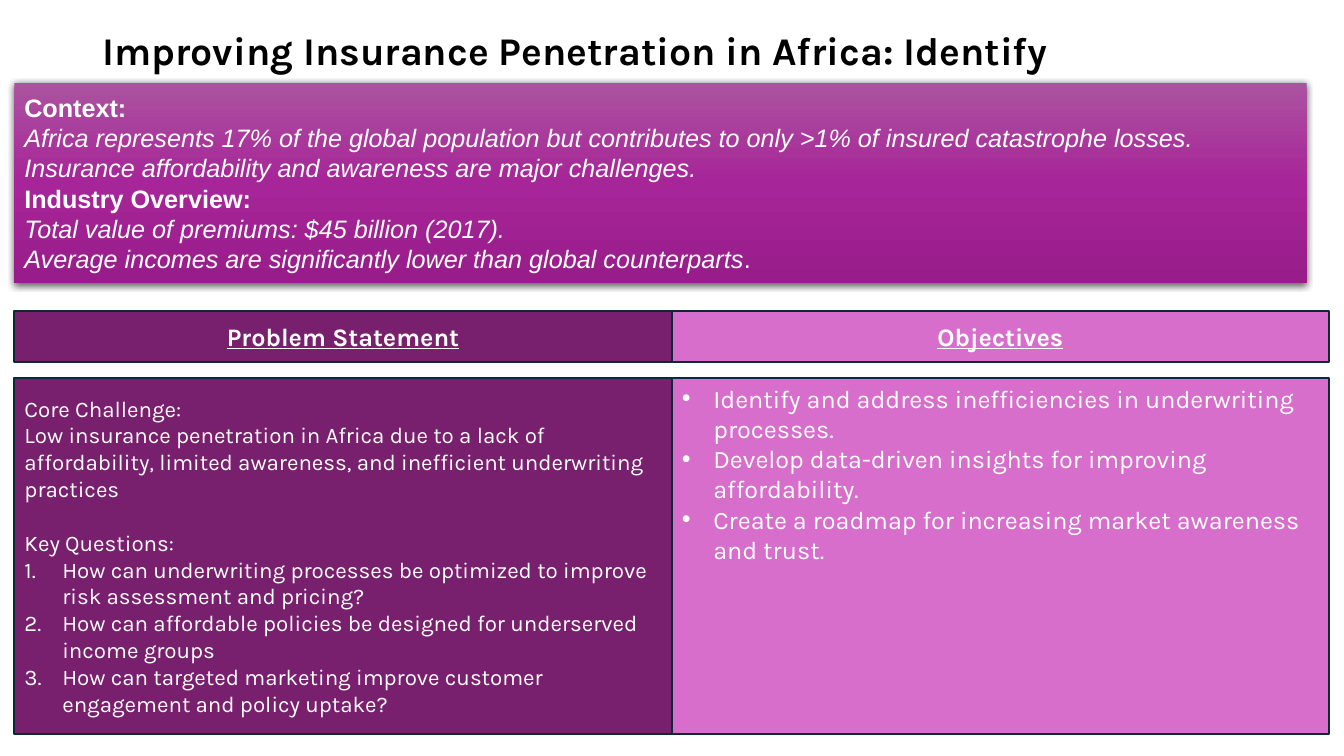
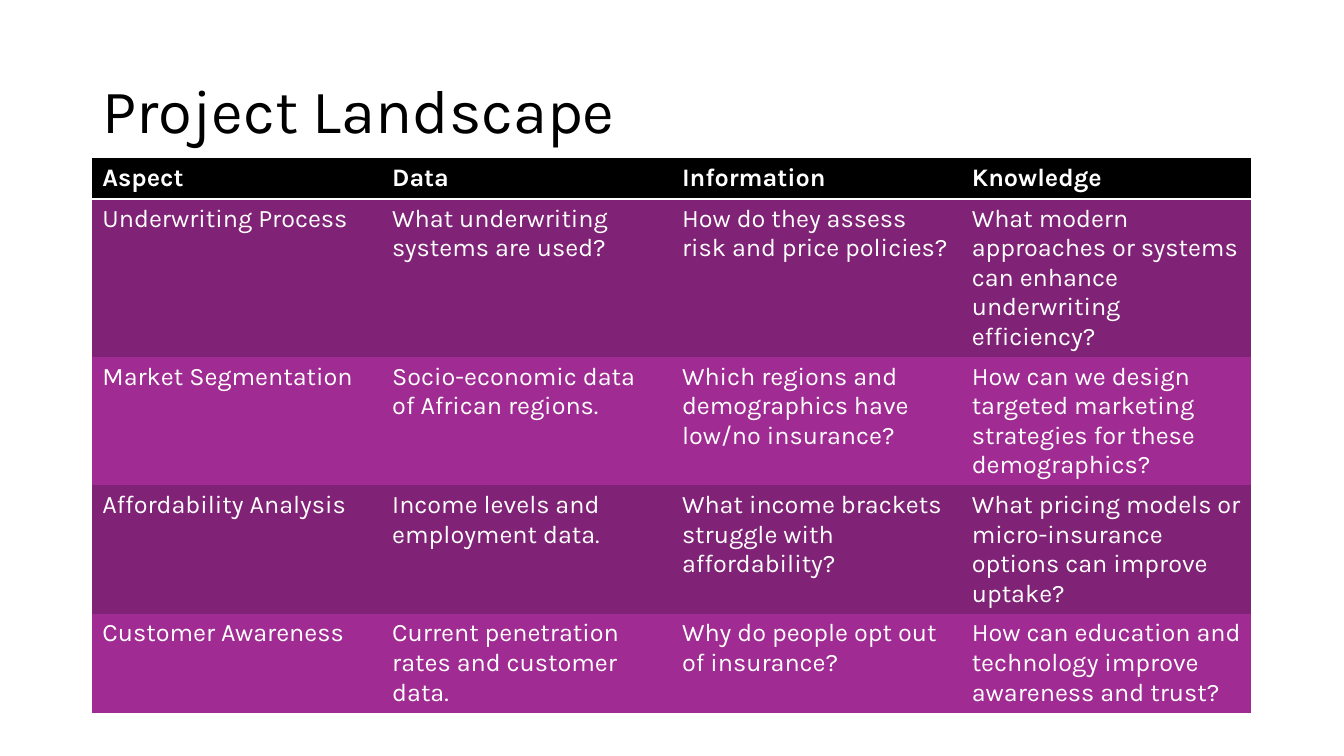
"""Builds a two-slide deck on insurance penetration in Africa."""
from copy import deepcopy
from dataclasses import dataclass

from pptx import Presentation
from pptx.dml.color import RGBColor
from pptx.enum.shapes import MSO_SHAPE
from pptx.enum.text import MSO_ANCHOR, MSO_AUTO_SIZE, PP_ALIGN
from pptx.oxml import parse_xml
from pptx.oxml.ns import nsdecls, qn
from pptx.util import Pt


@dataclass(frozen=True)
class Theme:
    """Colours, fonts and type sizes of the deck."""
    black: str = "000000"
    white: str = "FFFFFF"
    outline: str = "092A39"
    plum: str = "78206E"
    orchid: str = "D86ECC"
    bands: tuple = ("802276", "A02B93")
    gradient: tuple = ((0, "AC53A0"), (0.5, "A62598"), (1, "991C8B"))
    font: str = "Karla"
    context_font: str = "Arial"
    title: int = 44
    small_title: int = 28
    text: int = 18
    small_text: int = 16


THEME = Theme()
TWO_CONTENT, TITLE_ONLY = 3, 5

IDENTIFY_TITLE = "Improving Insurance Penetration in Africa: Identify"
CONTEXT = [
    [("Context:", {"bold": True})],
    [("Africa represents 17% of the global population but contributes to only "
      ">1% of insured catastrophe losses.", {"italic": True})],
    [("Insurance affordability and awareness are major challenges.", {"italic": True})],
    [("Industry Overview:", {"bold": True})],
    [("Total value of premiums: $45 billion (2017).", {"italic": True})],
    [("Average incomes are significantly lower than global counterparts",
      {"italic": True}), (".", {})],
]
PROBLEM = [
    ("plain", 0, "Core Challenge:"),
    ("plain", 0, "Low insurance penetration in Africa due to a lack of affordability, "
                 "limited awareness, and inefficient underwriting practices"),
    ("plain", 19, "Key Questions:"),
    ("number", 0, "How can underwriting processes be optimized to improve risk "
                  "assessment and pricing?"),
    ("number", 0, "How can affordable policies be designed for underserved income groups"),
    ("number", 0, "How can targeted marketing improve customer engagement and policy uptake?"),
]
OBJECTIVES = [
    ("dot", 0, "Identify and address inefficiencies in underwriting processes."),
    ("dot", 0, "Develop data-driven insights for improving affordability."),
    ("dot", 0, "Create a roadmap for increasing market awareness and trust."),
]
COLUMNS = [
    ("Problem Statement", PROBLEM, THEME.plum, THEME.small_text, MSO_ANCHOR.MIDDLE),
    ("Objectives", OBJECTIVES, THEME.orchid, THEME.text, MSO_ANCHOR.TOP),
]

LANDSCAPE_TITLE = "Project Landscape"
LANDSCAPE = [
    ("Aspect", "Data", "Information", "Knowledge"),
    ("Underwriting Process", "What underwriting systems are used?",
     "How do they assess risk and price policies?",
     "What modern approaches or systems can enhance underwriting efficiency?"),
    ("Market Segmentation", "Socio-economic data of African regions.",
     "Which regions and demographics have low/no insurance?",
     "How can we design targeted marketing strategies for these demographics?"),
    ("Affordability Analysis", "Income levels and employment data.",
     "What income brackets struggle with affordability?",
     "What pricing models or micro-insurance options can improve uptake?"),
    ("Customer Awareness", "Current penetration rates and customer data.",
     "Why do people opt out of insurance?",
     "How can education and technology improve awareness and trust?"),
]

MARKERS = {
    "plain": (0, ["<a:buNone {}/>"]),
    "number": (27, ['<a:buFont {} typeface="+mj-lt"/>',
                    '<a:buAutoNum {} type="arabicPeriod"/>']),
    "dot": (22.5, ['<a:buFont {} typeface="Arial"/>', '<a:buChar {} char="•"/>']),
}
NO_GRID_STYLE = "{2D5ABB26-0587-4C30-8999-92F81FD0307C}"

EDGE = 10.3
COLUMN_WIDTH = 469.5
CONTEXT_BOX = (EDGE, 59, 923, 143.5)
HEADING_TOP, HEADING_HEIGHT = 222, 36.5
BODY_TOP, BODY_HEIGHT = 270, 254
MARGIN, CONTENT_WIDTH = 66, 828
TABLE_TOP, ROW_HEIGHT = 113, 29.2


def color(value):
    """Turns a hex string into a colour."""
    return RGBColor.from_string(value)


def markup(template):
    """Parses one drawing element."""
    return parse_xml(template.format(nsdecls("a")))


def place(shape, left, top, width, height):
    """Moves and sizes a shape, in points."""
    for name, value in dict(left=left, top=top, width=width, height=height).items():
        setattr(shape, name, Pt(value))


def add_run(para, text, size=THEME.text, font=THEME.font, ink=THEME.white, **formats):
    """Adds formatted text to a paragraph."""
    span = para.add_run()
    span.text = text
    for name, value in {"size": Pt(size), "name": font, "bold": False, **formats}.items():
        setattr(span.font, name, value)
    span.font.color.rgb = color(ink)


def set_frame(frame, anchor):
    """Sets wrapping, fit and anchor of a text frame."""
    formats = {"word_wrap": True, "auto_size": MSO_AUTO_SIZE.NONE, "vertical_anchor": anchor}
    for name, value in formats.items():
        setattr(frame, name, value)


def paragraphs(frame, count):
    """Yields the first paragraph and as many new ones as needed."""
    yield frame.paragraphs[0]
    for _ in range(count - 1):
        yield frame.add_paragraph()


def set_title(page, text, size, top, height, bold=False):
    """Fills and moves the title placeholder."""
    title = page.shapes.title
    place(title, MARGIN, top, CONTENT_WIDTH, height)
    set_frame(title.text_frame, MSO_ANCHOR.MIDDLE)
    para = title.text_frame.paragraphs[0]
    para.alignment = PP_ALIGN.LEFT
    para.line_spacing = 0.9
    add_run(para, text, size, ink=THEME.black, bold=bold)


def paint(shape, fill):
    """Gives a panel its flat fill and dark outline."""
    shape.fill.solid()
    shape.fill.fore_color.rgb = color(fill)
    shape.line.color.rgb = color(THEME.outline)
    shape.line.width = Pt(1.5)


def add_box(page, *area):
    """Adds a plain rectangle without shadow."""
    box = page.shapes.add_shape(MSO_SHAPE.RECTANGLE, *map(Pt, area))
    box.shadow.inherit = False
    set_frame(box.text_frame, MSO_ANCHOR.MIDDLE)
    return box


def add_context(page):
    """Adds the gradient panel with the context."""
    box = add_box(page, *CONTEXT_BOX)
    box.line.fill.background()
    box.fill.gradient()
    properties = box.element.spPr
    stops = properties.find(".//" + qn("a:gsLst"))
    stops.append(deepcopy(stops[-1]))
    for stop, (position, value) in zip(box.fill.gradient_stops, THEME.gradient):
        stop.position = position
        stop.color.rgb = color(value)
    box.fill.gradient_angle = 270
    properties.find(qn("a:effectLst")).append(markup(
        '<a:outerShdw {} blurRad="57150" dist="19050" dir="5400000" algn="ctr" '
        'rotWithShape="0"><a:srgbClr val="000000"><a:alpha val="63000"/></a:srgbClr>'
        '</a:outerShdw>'))
    for para, spans in zip(paragraphs(box.text_frame, len(CONTEXT)), CONTEXT):
        para.alignment = PP_ALIGN.LEFT
        for text, formats in spans:
            add_run(para, text, font=THEME.context_font, **formats)


def fill_list(body, items, size):
    """Writes items with their markers into a body placeholder."""
    for para, (kind, gap, text) in zip(paragraphs(body.text_frame, len(items)), items):
        indent, marks = MARKERS[kind]
        para.alignment = PP_ALIGN.LEFT
        para.line_spacing = 1.0
        para.space_before = Pt(gap)
        properties = para._p.get_or_add_pPr()
        properties.set("marL", str(Pt(indent)))
        properties.set("indent", str(-Pt(indent)))
        for mark in marks:
            properties.append(markup(mark))
        add_run(para, text, size)


def build_identify(deck):
    """Builds the slide on context, problem and objectives."""
    page = deck.slides.add_slide(deck.slide_layouts[TWO_CONTENT])
    set_title(page, IDENTIFY_TITLE, THEME.small_title, 16, 43, bold=True)
    add_context(page)
    for index, (heading, items, fill, size, anchor) in enumerate(COLUMNS):
        left = EDGE + index * COLUMN_WIDTH
        box = add_box(page, left, HEADING_TOP, COLUMN_WIDTH, HEADING_HEIGHT)
        paint(box, fill)
        para = box.text_frame.paragraphs[0]
        para.alignment = PP_ALIGN.CENTER
        add_run(para, heading, bold=True, underline=True)
        body = page.placeholders[index + 1]
        place(body, left, BODY_TOP, COLUMN_WIDTH, BODY_HEIGHT)
        paint(body, fill)
        set_frame(body.text_frame, anchor)
        fill_list(body, items, size)


def build_landscape(deck):
    """Builds the slide with the project table."""
    page = deck.slides.add_slide(deck.slide_layouts[TITLE_ONLY])
    set_title(page, LANDSCAPE_TITLE, THEME.title, 29, 104)
    rows, columns = len(LANDSCAPE), len(LANDSCAPE[0])
    area = map(Pt, (MARGIN, TABLE_TOP, CONTENT_WIDTH, rows * ROW_HEIGHT))
    table = page.shapes.add_table(rows, columns, *area).table
    table._tbl.tblPr.find(qn("a:tableStyleId")).text = NO_GRID_STYLE
    for row, texts in enumerate(LANDSCAPE):
        header = row == 0
        fill = THEME.black if header else THEME.bands[(row - 1) % 2]
        for column, text in enumerate(texts):
            cell = table.cell(row, column)
            cell.fill.solid()
            cell.fill.fore_color.rgb = color(fill)
            add_run(cell.text_frame.paragraphs[0], text, bold=header)
            if header:
                cell._tc.get_or_add_tcPr().insert(0, markup(
                    '<a:lnB {} w="25400"><a:solidFill><a:srgbClr val="FFFFFF"/>'
                    '</a:solidFill></a:lnB>'))


def main():
    """Builds and saves the deck."""
    deck = Presentation()
    deck.slide_width, deck.slide_height = Pt(960), Pt(540)
    build_identify(deck)
    build_landscape(deck)
    deck.save("out.pptx")


if __name__ == "__main__":
    main()
